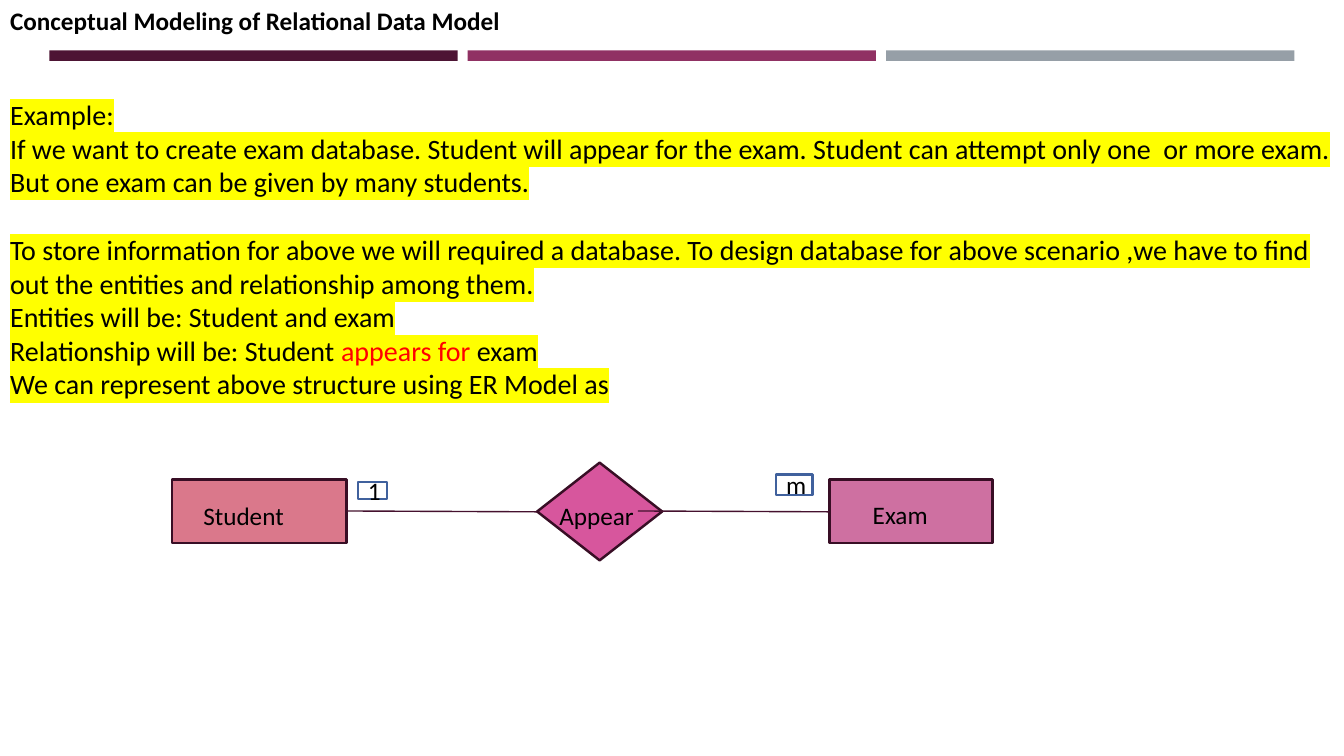
from collections import namedtuple

from lxml import etree
from pptx import Presentation
from pptx.dml.color import RGBColor
from pptx.enum.shapes import MSO_CONNECTOR, MSO_SHAPE
from pptx.enum.text import MSO_ANCHOR, MSO_AUTO_SIZE, PP_ALIGN
from pptx.oxml.ns import qn
from pptx.util import Pt

RECTANGLE, DIAMOND = MSO_SHAPE.RECTANGLE, MSO_SHAPE.DIAMOND
STRAIGHT = MSO_CONNECTOR.STRAIGHT
TOP, MIDDLE = MSO_ANCHOR.TOP, MSO_ANCHOR.MIDDLE
LEFT, CENTER = PP_ALIGN.LEFT, PP_ALIGN.CENTER
NO_FIT = MSO_AUTO_SIZE.NONE

Box = namedtuple("Box", "left top width height")

BLACK, RED, YELLOW, WHITE = "000000", "FF0000", "FFFF00", "FFFFFF"
OUTLINE, LINK, TAG_OUTLINE = "380E25", "45112E", "40619D"
BAR_COLOURS = ["4D1434", "903163", "969FA7"]

LABEL_FONT = {"name": "Calibri", "size": Pt(18)}
TITLE_FONT = {"name": "Calibri", "size": Pt(18), "bold": True}
BODY_FONT = {"name": "Calibri", "size": Pt(20), "bold": False}
FRAME = {"word_wrap": True, "auto_size": NO_FIT, "vertical_anchor": TOP,
         "margin_left": Pt(7.2), "margin_right": Pt(7.2),
         "margin_top": Pt(3.6), "margin_bottom": Pt(3.6)}

TITLE = "Conceptual Modeling of Relational Data Model"
BODY = [
    (0, [("Example:", BLACK)]),
    (0, [("If we want to create exam database. Student will appear for the exam. "
          "Student can attempt only one  or more exam. But one exam can be given "
          "by many students.", BLACK)]),
    (24.4, [("To store information for above we will required a database. To design "
             "database for above scenario ,we have to find out the entities and "
             "relationship among them.", BLACK)]),
    (0, [("Entities will be: Student and exam", BLACK)]),
    (0, [("Relationship will be: Student ", BLACK), ("appears for ", RED), ("exam", BLACK)]),
    (0, [("We can represent above structure using ER Model as", BLACK)]),
]

NODES = [
    (RECTANGLE, Box(0, 12.5, 124.6, 45.4), "DA788B"),
    (RECTANGLE, Box(469.4, 12.5, 116.6, 45.4), "CE70A1"),
    (DIAMOND, Box(260.7, 0.5, 89.3, 69.8), "D7569D"),
]
LINKS = [(124.6, 260.7), (332.7, 469.4)]
TAGS = [("1", Box(132.6, 14.2, 20.9, 12.2)), ("m", Box(431.4, 9.1, 25.9, 14.4))]
LABELS = [("Student", Box(15.2, 23.5, 92, 29)), ("Exam", Box(493.3, 22.8, 92, 29)),
          ("Appear", Box(269.4, 23.5, 74, 29))]


def rgb(value):
    """Turn a hex string into a colour."""
    return RGBColor.from_string(value)


def points(box):
    """Give the four measures of a box as lengths."""
    return [Pt(measure) for measure in box]


def inside(area, box):
    """Shift a box from its area's corner to the slide."""
    return box._replace(left=area.left + box.left, top=area.top + box.top)


def assign(target, values):
    """Set attributes from a dict."""
    for name, value in values.items():
        setattr(target, name, value)


def add_span(para, text, font, colour):
    """Append formatted text to a paragraph."""
    span = para.add_run()
    span.text = text
    assign(span.font, font)
    span.font.color.rgb = rgb(colour)
    return span


def highlight(span, colour):
    """Mark a run with a background colour."""
    fill = span._r.get_or_add_rPr().find(qn("a:solidFill"))
    mark = etree.Element(qn("a:highlight"))
    etree.SubElement(mark, qn("a:srgbClr"), val=colour)
    fill.addnext(mark)


def place_frame(shape, box):
    """Move a text shape and return its formatted frame."""
    assign(shape, dict(zip(Box._fields, points(box))))
    assign(shape.text_frame, FRAME)
    return shape.text_frame


def add_title(slide, box):
    """Fill the title placeholder."""
    para = place_frame(slide.shapes.title, box).paragraphs[0]
    para.alignment = LEFT
    add_span(para, TITLE, TITLE_FONT, BLACK)


def add_body(slide, box):
    """Fill the body placeholder with highlighted text."""
    frame = place_frame(slide.placeholders[1], box)
    for index, (gap, spans) in enumerate(BODY):
        para = frame.add_paragraph() if index else frame.paragraphs[0]
        properties = para._p.get_or_add_pPr()
        properties.set("marL", "0")
        properties.set("indent", "0")
        etree.SubElement(properties, qn("a:buNone"))
        assign(para, {"alignment": LEFT, "space_before": Pt(gap), "space_after": Pt(0)})
        for text, colour in spans:
            highlight(add_span(para, text, BODY_FONT, colour), YELLOW)


def add_figure(slide, kind, box, fill, outline=None):
    """Draw a filled shape with an optional outline."""
    shape = slide.shapes.add_shape(kind, *points(box))
    shape.shadow.inherit = False
    shape.fill.solid()
    shape.fill.fore_color.rgb = rgb(fill)
    if outline:
        shape.line.color.rgb = rgb(outline)
        shape.line.width = Pt(1.75)
    else:
        shape.line.fill.background()
    return shape


def add_bars(slide, box, gap=7.2):
    """Draw equal bars across a box."""
    width = (box.width - gap * (len(BAR_COLOURS) - 1)) / len(BAR_COLOURS)
    for index, colour in enumerate(BAR_COLOURS):
        left = box.left + index * (width + gap)
        add_figure(slide, RECTANGLE, box._replace(left=left, width=width), colour)


def add_diagram(slide, area):
    """Draw the entities, relationship and cardinalities."""
    for kind, box, fill in NODES:
        add_figure(slide, kind, inside(area, box), fill, OUTLINE)
    for start, end in LINKS:
        ends = [area.left + start, area.top + 35, area.left + end, area.top + 35.6]
        link = slide.shapes.add_connector(STRAIGHT, *points(ends))
        link.line.color.rgb = rgb(LINK)
        link.line.width = Pt(1)
        etree.SubElement(link._element.spPr, qn("a:effectLst"))
    for text, box in TAGS:
        tag = add_figure(slide, RECTANGLE, inside(area, box), WHITE, TAG_OUTLINE)
        assign(tag.text_frame, {**FRAME, "vertical_anchor": MIDDLE})
        para = tag.text_frame.paragraphs[0]
        para.alignment = CENTER
        add_span(para, text, LABEL_FONT, BLACK)
    for text, box in LABELS:
        spot = inside(area, box)
        frame = place_frame(slide.shapes.add_textbox(*points(spot)), spot)
        add_span(frame.paragraphs[0], text, LABEL_FONT, BLACK)


def main():
    """Build and save the deck."""
    deck = Presentation()
    deck.slide_width, deck.slide_height = Pt(960), Pt(540)
    slide = deck.slides.add_slide(deck.slide_layouts[1])
    add_title(slide, Box(0, 0, 960, 34))
    add_bars(slide, Box(35.2, 36, 889.4, 7.5))
    add_body(slide, Box(0, 66, 960, 240))
    add_diagram(slide, Box(123, 330, 586, 71))
    deck.save("out.pptx")


if __name__ == "__main__":
    main()
